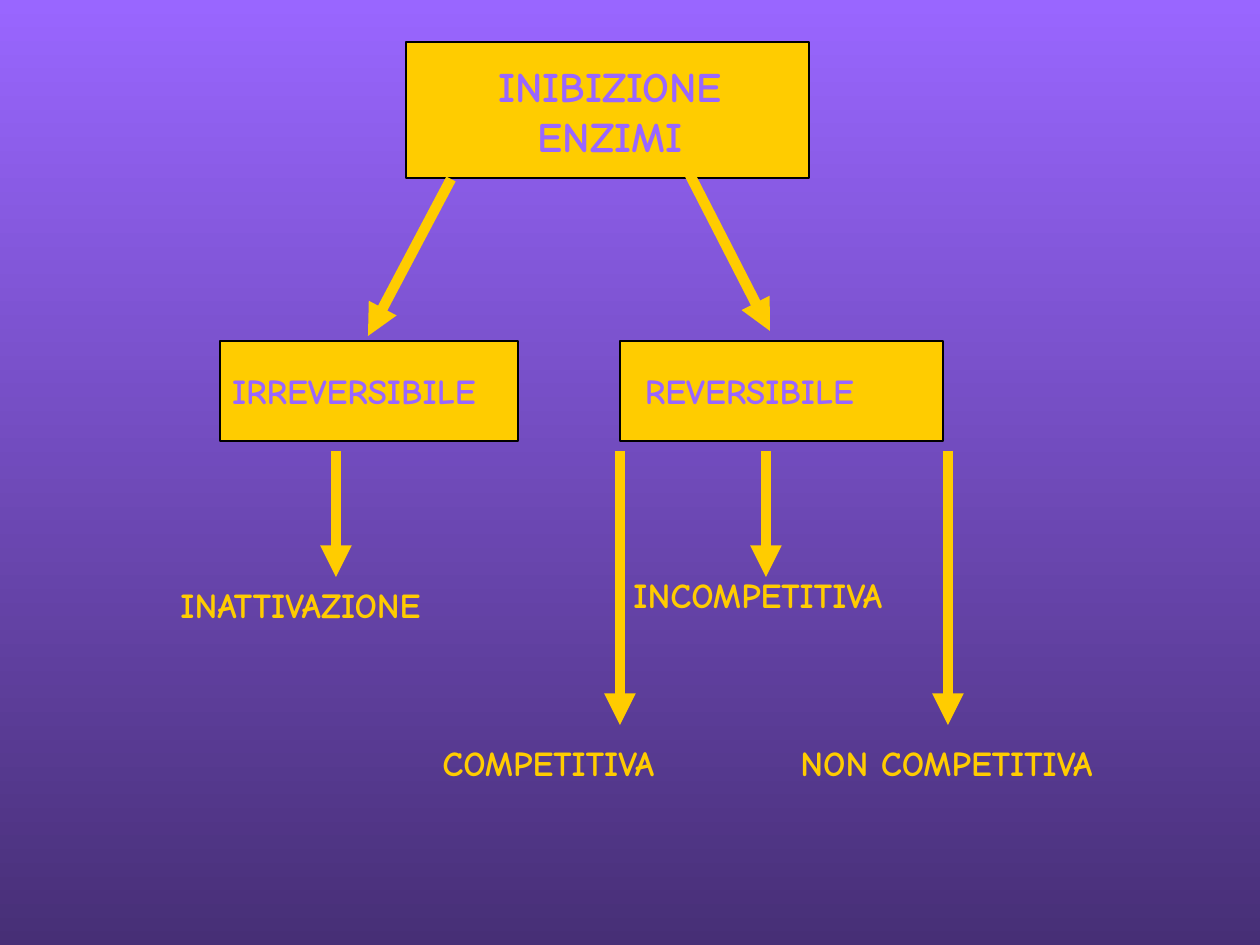
from collections import namedtuple
from dataclasses import dataclass

import pptx
import pptx.dml.color
import pptx.enum.shapes
import pptx.enum.text
import pptx.oxml
import pptx.oxml.ns
import pptx.util

Box = namedtuple("Box", "left top width height")


@dataclass(frozen=True)
class Theme:
    violet: str = "9966FF"
    dusk: str = "472F76"
    gold: str = "FFCC00"
    outline: str = "000000"
    font: str = "Comic Neue"
    title_size: int = 24
    label_size: int = 20
    outline_width: float = 0.75
    arrow_width: int = 6


THEME = Theme()
SLIDE_WIDTH, SLIDE_HEIGHT = 1260, 945
ARROW_GAP = 10
SHORT_ARROW, LONG_ARROW = 126, 274
LABEL_HEIGHT = 54


def px(length):
    return pptx.util.Emu(round(length * 914400 / 126))


def rgb(color):
    return pptx.dml.color.RGBColor.from_string(color)


def paint_background(slide):
    fill = slide.background.fill
    fill.gradient()
    fill.gradient_angle = 270
    for stop, color in zip(fill.gradient_stops, (THEME.violet, THEME.dusk)):
        stop.color.rgb = rgb(color)


def write(frame, wording, size, color, align=pptx.enum.text.PP_ALIGN.LEFT):
    paragraph = frame.paragraphs[0]
    paragraph.text = wording
    paragraph.alignment = align
    font = paragraph.font
    font.name, font.size, font.bold = THEME.font, pptx.util.Pt(size), True
    font.color.rgb = rgb(color)


def add_panel(slide, box):
    panel = slide.shapes.add_shape(
        pptx.enum.shapes.MSO_SHAPE.RECTANGLE, *map(px, box))
    panel.shadow.inherit = False
    panel.fill.solid()
    panel.fill.fore_color.rgb = rgb(THEME.gold)
    panel.line.color.rgb = rgb(THEME.outline)
    panel.line.width = pptx.util.Pt(THEME.outline_width)
    return panel


def add_text(slide, box, wording, size, color, align=pptx.enum.text.PP_ALIGN.LEFT):
    frame = slide.shapes.add_textbox(*map(px, box)).text_frame
    frame.word_wrap = True
    write(frame, wording, size, color, align)


def add_arrow(slide, start, end):
    arrow = slide.shapes.add_connector(
        pptx.enum.shapes.MSO_CONNECTOR.STRAIGHT, *map(px, (*start, *end)))
    arrow.line.color.rgb = rgb(THEME.gold)
    arrow.line.width = pptx.util.Pt(THEME.arrow_width)
    namespace = pptx.oxml.ns.nsdecls("a")
    arrow.line._get_or_add_ln().append(
        pptx.oxml.parse_xml(f'<a:tailEnd {namespace} type="triangle"/>'))
    arrow._element.spPr.append(pptx.oxml.parse_xml(f"<a:effectLst {namespace}/>"))


def add_header(slide, box, wording):
    """Title panel with the two arrows that lead to the branches."""
    add_panel(slide, box)
    title = Box(box.left + 24, box.top + 12, box.width - 43, box.height - 23)
    add_text(slide, title, wording, THEME.title_size, THEME.violet,
             pptx.enum.text.PP_ALIGN.CENTER)
    for start, end in (((45, 137), (-38, 294)), ((283, 131), (364, 289))):
        add_arrow(slide, (box.left + start[0], box.top + start[1]),
                  (box.left + end[0], box.top + end[1]))


def add_branch(slide, box, wording, indent, outcomes):
    """Branch panel with an arrow and a label for each outcome.

    An outcome is its wording, arrow offset, arrow length, and the label's
    offset from the panel, gap below the arrow and width.
    """
    frame = add_panel(slide, box).text_frame
    frame.word_wrap = False
    frame.margin_left = px(indent)
    frame.vertical_anchor = pptx.enum.text.MSO_ANCHOR.MIDDLE
    write(frame, wording, THEME.label_size, THEME.violet)

    start = box.top + box.height + ARROW_GAP
    for outcome, arrow_offset, length, label_offset, gap, width in outcomes:
        x = box.left + arrow_offset
        add_arrow(slide, (x, start), (x, start + length))
        label = Box(box.left + label_offset, start + length + gap,
                    width, LABEL_HEIGHT)
        add_text(slide, label, outcome, THEME.label_size, THEME.gold)


def main():
    presentation = pptx.Presentation()
    presentation.slide_width = px(SLIDE_WIDTH)
    presentation.slide_height = px(SLIDE_HEIGHT)
    slide = presentation.slides.add_slide(presentation.slide_layouts[6])

    paint_background(slide)
    add_header(slide, Box(406, 42, 403, 136), "INIBIZIONE ENZIMI")
    add_branch(slide, Box(220, 341, 298, 100), "IRREVERSIBILE", 12, [
        ("INATTIVAZIONE", 116, SHORT_ARROW, -52, 0, 347),
    ])
    add_branch(slide, Box(620, 341, 323, 100), "REVERSIBILE", 25, [
        ("INCOMPETITIVA", 146, SHORT_ARROW, 1, -10, 336),
        ("COMPETITIVA", 0, LONG_ARROW, -190, 10, 315),
        ("NON COMPETITIVA", 328, LONG_ARROW, 168, 10, 388),
    ])
    presentation.save("out.pptx")


if __name__ == "__main__":
    main()
